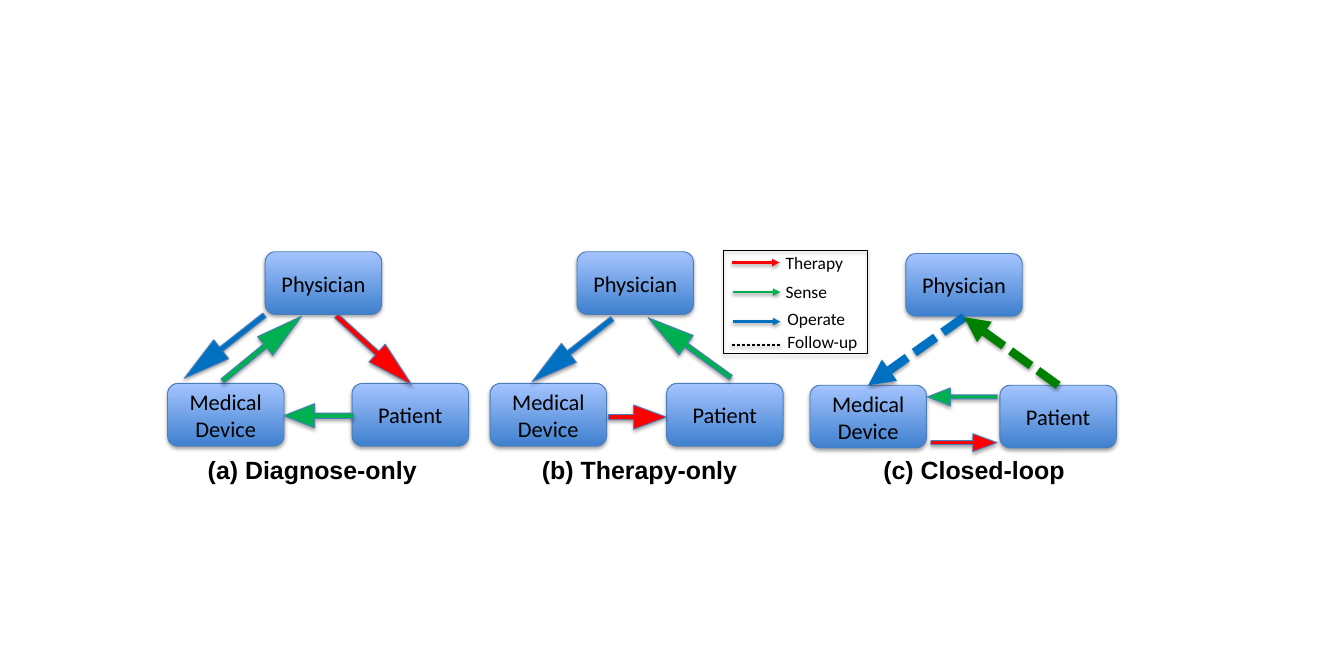
from lxml import etree
from pptx import Presentation
from pptx.dml.color import RGBColor
from pptx.enum.dml import MSO_LINE
from pptx.enum.shapes import MSO_CONNECTOR, MSO_SHAPE
from pptx.enum.text import MSO_ANCHOR, MSO_AUTO_SIZE, PP_ALIGN
from pptx.oxml.ns import qn
from pptx.util import Emu, Pt

ROUNDED, RECT, DOWN = MSO_SHAPE.ROUNDED_RECTANGLE, MSO_SHAPE.RECTANGLE, MSO_SHAPE.DOWN_ARROW
STRAIGHT = MSO_CONNECTOR.STRAIGHT
DASHED, DOTTED = MSO_LINE.SQUARE_DOT, MSO_LINE.ROUND_DOT
CENTER, MIDDLE, FIT = PP_ALIGN.CENTER, MSO_ANCHOR.MIDDLE, MSO_AUTO_SIZE.SHAPE_TO_FIT_TEXT

SCALE = 9144  # EMU per px, 100 px to the inch
RED, GREEN, BLUE, DARK_GREEN = "FF0000", "00B050", "0070C0", "008000"
BLACK, EDGE = "000000", "4B7EBC"
NODE_W, NODE_H, ROW_GAP = 130, 70, 147

NODE_FONT = {"name": "Calibri", "size": Pt(18)}
LEGEND_FONT = {"name": "Calibri", "size": Pt(14)}
CAPTION_FONT = {"name": "Arial", "size": Pt(20), "bold": True}


def px(*lengths):
    return [Emu(length * SCALE) for length in lengths]


def color(hex_string):
    return RGBColor.from_string(hex_string)


def add_shadow(shape, distance=1.8, alpha=35):
    """Soft shadow straight below the shape; distance in points."""
    properties = shape._element.spPr
    for old in properties.findall(qn("a:effectLst")):
        properties.remove(old)
    effects = etree.SubElement(properties, qn("a:effectLst"))
    shadow = etree.SubElement(effects, qn("a:outerShdw"), blurRad=str(Pt(3.1)),
                              dist=str(Pt(distance)), dir="5400000", rotWithShape="0")
    black = etree.SubElement(shadow, qn("a:srgbClr"), val=BLACK)
    etree.SubElement(black, qn("a:alpha"), val=str(alpha * 1000))


def write(frame, text, font, align=None):
    for index, line in enumerate(text.split("\n")):
        para = frame.paragraphs[0] if index == 0 else frame.add_paragraph()
        para.alignment = align
        span = para.add_run()
        span.text = line
        for name, value in font.items():
            setattr(span.font, name, value)
        span.font.color.rgb = color(BLACK)


def add_label(slide, text, left, top, width, height, font):
    box = slide.shapes.add_textbox(*px(left, top, width, height))
    box.text_frame.word_wrap = False
    box.text_frame.auto_size = FIT
    write(box.text_frame, text, font)


def add_outlined(shapes, kind, left, top, width, height, edge=EDGE):
    shape = shapes.add_shape(kind, *px(left, top, width, height))
    shape.line.color.rgb = color(edge)
    shape.line.width = Pt(0.75)
    return shape


def add_node(shapes, text, left, top):
    node = add_outlined(shapes, ROUNDED, left, top, NODE_W, NODE_H)
    node.fill.gradient()
    node.fill.gradient_angle = 90
    for stop, shade in zip(node.fill.gradient_stops, ("3F80CE", "A4C4FF")):
        stop.color.rgb = color(shade)
        stop.position = 0 if shade == "3F80CE" else 1
    add_shadow(node)
    node.text_frame.word_wrap = True
    node.text_frame.vertical_anchor = MIDDLE
    write(node.text_frame, text, NODE_FONT, CENTER)


def add_block_arrow(slide, left, top, width, height, turn, shade, head):
    arrow = add_outlined(slide.shapes, DOWN, left, top, width, height)
    arrow.rotation = turn
    arrow.adjustments[0] = 0.218
    arrow.adjustments[1] = head
    arrow.fill.solid()
    arrow.fill.fore_color.rgb = color(shade)
    add_shadow(arrow)


def add_line(shapes, start, end, shade, width, dash=None, head=True):
    line = shapes.add_connector(STRAIGHT, *px(*start, *end))
    line.line.color.rgb = color(shade)
    line.line.width = Pt(width)
    if dash:
        line.line.dash_style = dash
    if head:
        etree.SubElement(line.line._get_or_add_ln(), qn("a:tailEnd"), type="triangle")
    add_shadow(line, 1.6, 38)


def add_panel(slide, left, top, physician_x, patient_x, caption, arrows, follow_ups=()):
    """Three linked nodes with a caption; all parts are relative to left and top."""
    group = slide.shapes.add_group_shape().shapes
    add_node(group, "Medical\nDevice", left, top + ROW_GAP)
    add_node(group, "Patient", left + patient_x, top + ROW_GAP)
    add_node(group, "Physician", left + physician_x, top)
    for x1, y1, x2, y2, shade, width in follow_ups:
        add_line(group, (left + x1, top + y1), (left + x2, top + y2), shade, width, DASHED)
    text, x, y, width = caption
    add_label(slide, text, left + x, top + y, width, 44, CAPTION_FONT)
    for x, y, *rest in arrows:
        add_block_arrow(slide, left + x, top + y, *rest)


def add_legend(slide, left, top, width, height):
    frame = add_outlined(slide.shapes, RECT, left, top, width, height, BLACK)
    frame.fill.background()
    add_shadow(frame)
    # text, label x, label y, line x, line y, colour
    entries = [
        ("Therapy", 59, -4, 85, 9, 13, RED),
        ("Sense", 59, 29, 67, 10, 46, GREEN),
        ("Operate", 61, 59, 85, 10, 79, BLUE),
        ("Follow-up", 61, 85, 99, 9, 105, BLACK),
    ]
    for text, x, y, label_w, line_x, line_y, shade in entries:
        dotted = shade == BLACK
        start = left + line_x, top + line_y
        add_line(slide.shapes, start, (start[0] + 53, start[1]), shade, 2,
                 DOTTED if dotted else None, not dotted)
        add_label(slide, text, left + x, top + y, label_w, 34, LEGEND_FONT)


def main():
    deck = Presentation()
    deck.slide_width, deck.slide_height = px(1500, 750)
    slide = deck.slides.add_slide(deck.slide_layouts[6])

    # Arrows: left, top, width, height, rotation, colour, head length
    add_panel(slide, 187, 281, 109, 206, ("(a) Diagnose-only", 35, 221, 255), [
        (92, 51, 27, 114, 230.7, GREEN, 1.942),
        (217, 53, 27, 114, 312.4, RED, 1.942),
        (155, 144, 27, 78, 90, GREEN, 1.283),
        (50, 49, 27, 114, 51.8, BLUE, 1.942),
    ])
    add_panel(slide, 547, 281, 97, 197, ("(b) Therapy-only", 48, 221, 240), [
        (78, 53, 27, 114, 51.8, BLUE, 1.942),
        (209, 50, 27, 114, 125.9, GREEN, 1.942),
        (151, 152, 27, 65, 270, RED, 1.365),
    ])
    add_panel(slide, 904, 283, 107, 212, ("(c) Closed-loop", 72, 219, 224), [
        (160, 121, 20, 78, 90, GREEN, 1.283),
        (162, 174, 20, 74, 270, RED, 1.365),
    ], [
        (172, 71, 65, 147, BLUE, 7),
        (277, 147, 172, 71, DARK_GREEN, 6.75),
    ])
    add_legend(slide, 808, 280, 160, 115)
    deck.save("out.pptx")


if __name__ == "__main__":
    main()
